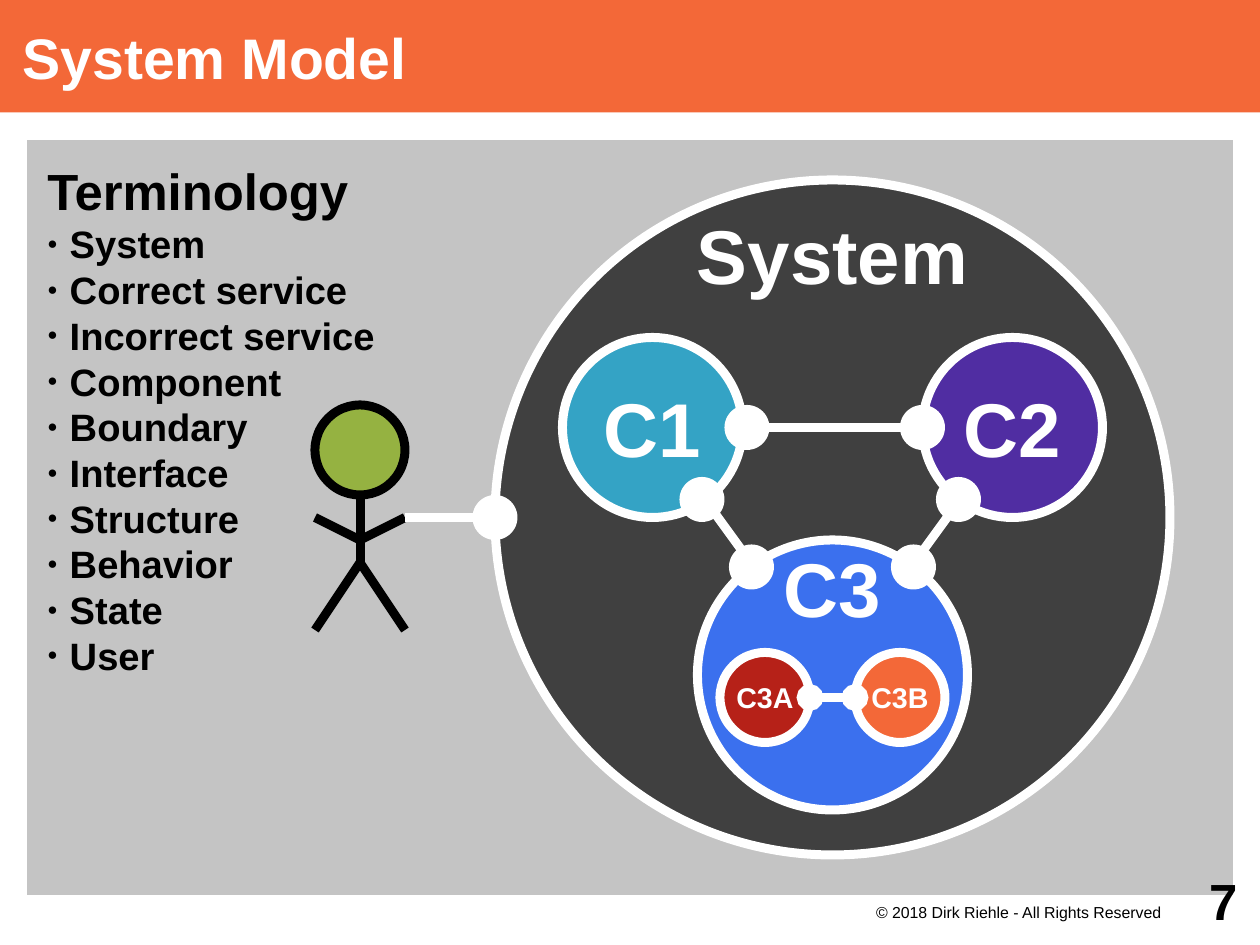
from lxml import etree
from pptx import Presentation, util as u
from pptx.dml.color import RGBColor
from pptx.enum import shapes, text
from pptx.oxml import ns

WHITE = RGBColor(0xFF, 0xFF, 0xFF)
BLACK = RGBColor(0x00, 0x00, 0x00)
PANEL_GRAY = RGBColor(0xC4, 0xC4, 0xC4)
SYSTEM_GRAY = RGBColor(0x40, 0x40, 0x40)
ORANGE = RGBColor(0xF3, 0x68, 0x38)
GREEN = RGBColor(0x95, 0xB2, 0x41)
TEAL = RGBColor(0x34, 0xA3, 0xC5)
PURPLE = RGBColor(0x50, 0x2D, 0xA2)
BLUE = RGBColor(0x3B, 0x70, 0xEE)
RED = RGBColor(0xB6, 0x21, 0x18)

TERMS = ["System", "Correct service", "Incorrect service", "Component", "Boundary",
         "Interface", "Structure", "Behavior", "State", "User"]


class SlideBuilder:
    """Draws on one slide in one style; all lengths are in centimetres."""

    font_name = "Arial"
    line_width = u.Pt(5.67)

    def __init__(self, slide):
        self.slide = slide

    def place(self, shape, left, top, width, height):
        box = {"left": left, "top": top, "width": width, "height": height}
        for name, value in box.items():
            setattr(shape, name, u.Cm(value))

    def frame(self, shape, insets=(0, 0, 0, 0), anchor=text.MSO_ANCHOR.MIDDLE, wrap=True):
        frame = shape.text_frame
        left, top, right, bottom = (u.Cm(inset) for inset in insets)
        settings = {"auto_size": text.MSO_AUTO_SIZE.NONE, "word_wrap": wrap,
                    "vertical_anchor": anchor, "margin_left": left, "margin_top": top,
                    "margin_right": right, "margin_bottom": bottom}
        for name, value in settings.items():
            setattr(frame, name, value)
        return frame

    def fill_paragraph(self, paragraph, words, size, color, align=text.PP_ALIGN.LEFT,
                       bold=True):
        paragraph.text = words
        paragraph.alignment = align
        paragraph.space_before = u.Pt(0)
        values = {"name": self.font_name, "size": u.Pt(size), "bold": bold}
        for name, value in values.items():
            setattr(paragraph.font, name, value)
        paragraph.font.color.rgb = color

    def bullet(self, paragraph, indent):
        properties = paragraph._p.get_or_add_pPr()
        properties.set("marL", str(u.Cm(indent)))
        properties.set("indent", str(-u.Cm(indent)))
        if not indent:
            etree.SubElement(properties, ns.qn("a:buNone"))
            return
        color = etree.SubElement(properties, ns.qn("a:buClr"))
        etree.SubElement(color, ns.qn("a:srgbClr"), val=str(BLACK))
        etree.SubElement(properties, ns.qn("a:buSzPct"), val="45000")
        etree.SubElement(properties, ns.qn("a:buChar"), char="●")

    def paint(self, shape, fill, line=None):
        shape.fill.solid()
        shape.fill.fore_color.rgb = fill
        if line is None:
            shape.line.fill.background()
        else:
            shape.line.color.rgb = line
            shape.line.width = self.line_width

    def title(self, words):
        shape = self.slide.shapes.title
        self.place(shape, 0, 0, 28, 2.5)
        self.paint(shape, ORANGE)
        frame = self.frame(shape, (0.5, 0, 0, 0))
        self.fill_paragraph(frame.paragraphs[0], words, 36, WHITE)

    def term_list(self, heading, terms):
        shape = self.slide.placeholders[1]
        self.place(shape, 0.5, 3, 27, 17)
        self.paint(shape, PANEL_GRAY, WHITE)
        frame = self.frame(shape, (0.55,) * 4, text.MSO_ANCHOR.TOP)
        self.bullet(frame.paragraphs[0], 0)
        self.fill_paragraph(frame.paragraphs[0], heading, 32, BLACK)
        for term in terms:
            paragraph = frame.add_paragraph()
            self.bullet(paragraph, 0.5)
            self.fill_paragraph(paragraph, term, 24, BLACK)

    def circle(self, x, y, diameter, fill, line=None, words=None, size=48):
        radius = diameter / 2
        shape = self.slide.shapes.add_shape(
            shapes.MSO_SHAPE.OVAL, u.Cm(x - radius), u.Cm(y - radius),
            u.Cm(diameter), u.Cm(diameter))
        shape.shadow.inherit = False
        self.paint(shape, fill, line)
        if words:
            frame = self.frame(shape, wrap=False)
            self.fill_paragraph(frame.paragraphs[0], words, size, WHITE,
                                text.PP_ALIGN.CENTER)

    def line(self, start, end, color, oval_ends=False):
        connector = self.slide.shapes.add_connector(
            shapes.MSO_CONNECTOR.STRAIGHT, *(u.Cm(value) for value in start + end))
        connector.line.color.rgb = color
        connector.line.width = self.line_width
        if oval_ends:
            outline = connector.line._get_or_add_ln()
            for tag in ("a:headEnd", "a:tailEnd"):
                etree.SubElement(outline, ns.qn(tag), type="oval")
        etree.SubElement(connector._element.spPr, ns.qn("a:effectLst"))

    def label(self, box, words, size, color, align, insets=(0, 0, 0, 0),
              anchor=text.MSO_ANCHOR.MIDDLE, bold=True):
        shape = self.slide.shapes.add_textbox(*(u.Cm(value) for value in box))
        frame = self.frame(shape, insets, anchor)
        self.fill_paragraph(frame.paragraphs[0], words, size, color, align, bold)


def main():
    presentation = Presentation()
    presentation.slide_width, presentation.slide_height = u.Cm(28), u.Cm(21)
    slide = presentation.slides.add_slide(presentation.slide_layouts[1])
    builder = SlideBuilder(slide)
    center, right = text.PP_ALIGN.CENTER, text.PP_ALIGN.RIGHT

    # Title bar and terminology panel
    builder.title("System Model")
    builder.term_list("Terminology", TERMS)

    # System boundary
    builder.circle(18.5, 11.5, 15, SYSTEM_GRAY, WHITE)
    builder.label((14, 4.65, 9, 2), "System", 48, WHITE, center)

    # User: spine, arms, legs and head
    neck, shoulder, hip = (8, 10), (8, 12), (8, 12.5)
    builder.line(hip, neck, BLACK)
    for side in (7, 9):
        builder.line(shoulder, (side, 11.5), BLACK)
        builder.line(hip, (side, 14), BLACK)
    builder.circle(*neck, 2, GREEN, BLACK)

    # Components and the links between them
    c1, c2, c3 = (14.5, 9.5), (22.5, 9.5), (18.5, 15)
    for start, end in ((c1, c2), (c1, c3), (c3, c2)):
        builder.line(start, end, WHITE)
    builder.circle(*c1, 4, TEAL, WHITE, "C1")
    builder.circle(*c2, 4, PURPLE, WHITE, "C2")
    builder.circle(*c3, 6, BLUE, WHITE)
    builder.label((16.5, 12.05, 4, 2), "C3", 48, WHITE, center)

    # Subcomponents of C3
    builder.circle(17, 15.5, 2, RED, WHITE, "C3A", 18)
    builder.circle(20, 15.5, 2, ORANGE, WHITE, "C3B", 18)
    builder.line((18, 15.5), (19, 15.5), WHITE, oval_ends=True)

    # User link and interface points
    builder.line((11, 11.5), (9, 11.5), WHITE)
    for x, y in ((11, 11.5), (15.6, 11.1), (16.7, 12.6), (16.6, 9.5),
                 (20.5, 9.5), (20.3, 12.6), (21.3, 11.1)):
        builder.circle(x, y, 1, WHITE)

    # Footer
    builder.label((18, 20, 8, 1), "© 2018 Dirk Riehle - All Rights Reserved", 10, BLACK,
                  right, (0, 0.05, 0.2, 0), text.MSO_ANCHOR.TOP, bold=False)
    builder.label((25.5, 19, 2.5, 2), "7", 32, BLACK, right, (0, 0, 0.5, 0))

    presentation.save("out.pptx")


if __name__ == "__main__":
    main()
